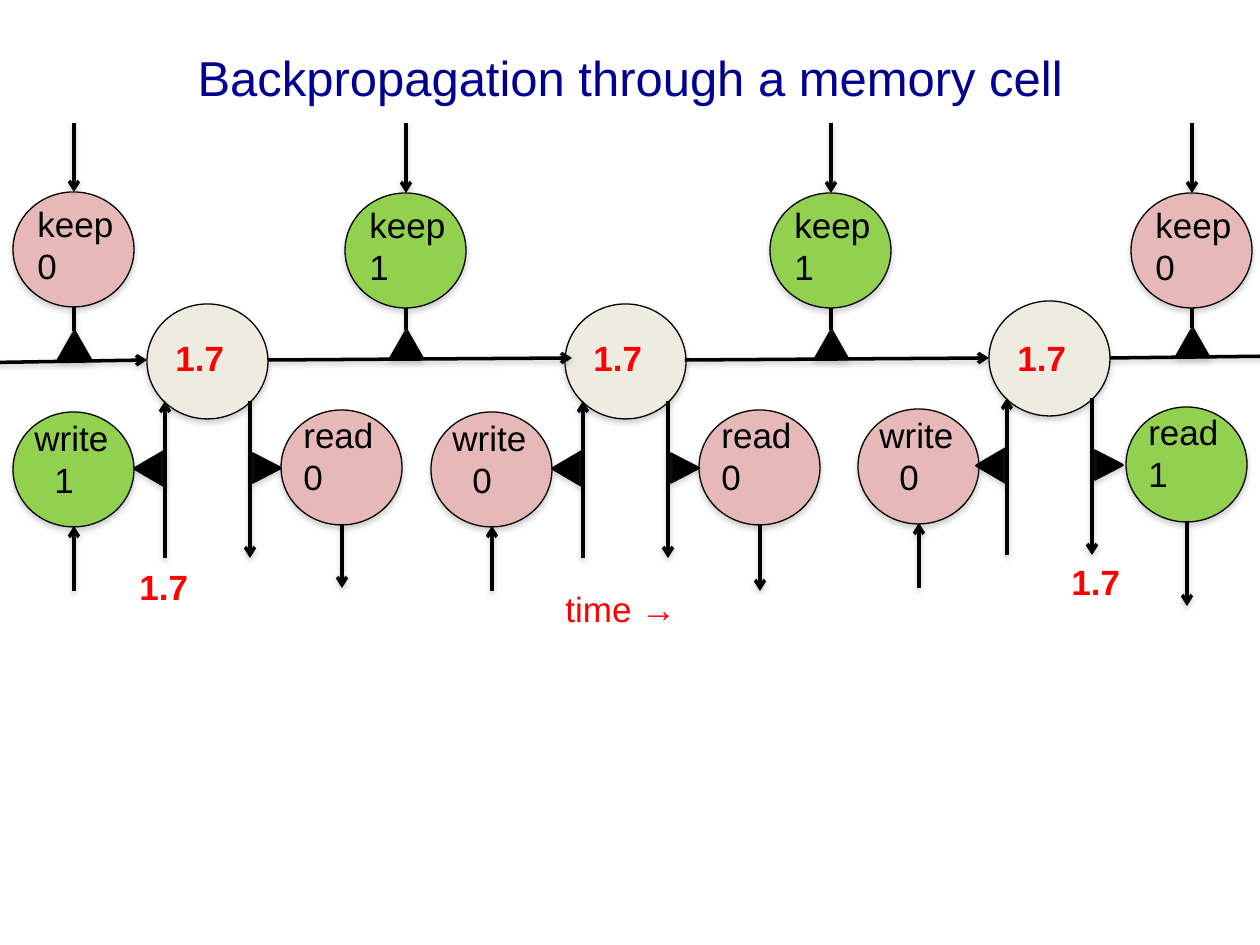
from lxml import etree
from pptx import Presentation
from pptx import util as u
from pptx.dml.color import RGBColor
from pptx.enum import shapes, text
from pptx.oxml.ns import qn

PX = u.Inches(1) / 126
COLORS = {"title": "000090", "black": "000000", "red": "FF0000", "shadow": "808080",
          "on": "92D050", "off": "E6B9B8", "cell": "EEECE1"}
OVAL, TRIANGLE = shapes.MSO_SHAPE.OVAL, shapes.MSO_SHAPE.ISOSCELES_TRIANGLE
NODE_W, NODE_H = 121, 115

deck = Presentation()
deck.slide_width, deck.slide_height = u.Inches(10), u.Inches(7.5)
page = deck.slides.add_slide(deck.slide_layouts[6])


def outline(shape, width, opacity):
    """Black line and a soft shadow below."""
    shape.line.color.rgb = RGBColor.from_string(COLORS["black"])
    shape.line.width = u.Pt(width)
    effects = etree.SubElement(shape._element.spPr, qn("a:effectLst"))
    shadow = etree.SubElement(effects, qn("a:outerShdw"), blurRad=str(u.Pt(3.1)),
                              dist=str(u.Pt(1.8)), dir="5400000", rotWithShape="0")
    color = etree.SubElement(shadow, qn("a:srgbClr"), val=COLORS["shadow"])
    etree.SubElement(color, qn("a:alpha"), val=str(opacity * 1000))


def write(lines, left, top, width, height, color="black", size=20, bold=False,
          margin=0, hanging=0):
    box = page.shapes.add_textbox(*(round(v * PX) for v in (left, top, width, height)))
    frame = box.text_frame
    frame.word_wrap = True
    frame.text = lines
    for para in frame.paragraphs:
        para.font.name, para.font.size, para.font.bold = "Arial", u.Pt(size), bold
        para.font.color.rgb = RGBColor.from_string(COLORS[color])
        if margin:
            properties = para._p.get_or_add_pPr()
            properties.set("marL", str(round(margin * PX)))
            properties.set("indent", str(round(-hanging * PX)))
    return box


# Title
title = write("Backpropagation through a memory cell", 63, -2, 1134, 157, "title", 28)
title.text_frame.vertical_anchor = text.MSO_ANCHOR.MIDDLE
title.text_frame.paragraphs[0].alignment = text.PP_ALIGN.CENTER

# left, top, write left, write gate, read left, read gate, end of read arrow
cells = [(147, 304, 13, 1, 281, 0, 588),
         (565, 304, 431, 0, 699, 0, 591),
         (989, 301, 858, 0, 1126, 1, 606)]
# left, top, keep gate, top of triangle
keeps = [(13, 192, 0, 331), (345, 193, 1, 330), (770, 193, 1, 330), (1131, 193, 0, 328)]

# Memory chain along the time axis
arrows = [(-38, 363, 147, 360), (268, 360, 572, 358),
          (685, 360, 989, 358), (1110, 358, 1283, 356)]
stems, nodes, triangles, labels = [], [], [], []

# Memory cells with their write and read gates
for x, y, write_x, write_gate, read_x, read_gate, read_end in cells:
    nodes += [(x, y, "cell"),
              (write_x, y + 108, "on" if write_gate else "off"),
              (read_x, y + 106, "on" if read_gate else "off")]
    arrows += [(x + 18, y + 254, x + 18, y + 97),
               (x + 103, y + 97, x + 103, y + 254),
               (write_x + 61, y + 287, write_x + 61, y + 222),
               (read_x + 61, y + 220, read_x + 61, read_end)]
    triangles += [(x + 105, y + 150, 29, 28, 90), (x - 15, y + 150, 34, 29, 270)]
    labels += [(f"read\n{read_gate}", read_x + 10, y + 103, 141, 97, {}),
               (f"write {write_gate}", write_x + 9, y + 106, 101, 97,
                {"margin": 20, "hanging": 20})]

# Keep gates
for x, y, gate, triangle_y in keeps:
    middle = x + 61
    nodes.append((x, y, "on" if gate else "off"))
    arrows.append((middle, 123, middle, y))
    stems.append((middle, y + NODE_H, middle, triangle_y))
    triangles.append((x + 45, triangle_y, 33, 29, 0))
    labels.append((f"keep {gate}", x + 12, y + 4, 110, 97, {}))

# Stored, written and read values
values = [(x + 7, 330, 97) for x, *_ in cells] + [(118, 559, 129), (1050, 554, 129)]
for x, y, width in values:
    labels.append(("1.7", x, y, width, 55, {"color": "red", "bold": True, "margin": 9}))
labels.append(("time →", 553, 581, 242, 55, {"color": "red"}))

# Circles and triangles
pieces = [(OVAL, x, y, NODE_W, NODE_H, 0, fill, 0.75) for x, y, fill in nodes]
pieces += [(TRIANGLE, *place, "black", 1.5) for place in triangles]
for kind, x, y, width, height, angle, fill, line_width in pieces:
    shape = page.shapes.add_shape(kind, *(round(v * PX) for v in (x, y, width, height)))
    shape.rotation = angle
    shape.fill.solid()
    shape.fill.fore_color.rgb = RGBColor.from_string(COLORS[fill])
    outline(shape, line_width, 35)

# Lines, with an open head on the arrows
for ends in arrows + stems:
    line = page.shapes.add_connector(shapes.MSO_CONNECTOR.STRAIGHT,
                                     *(round(v * PX) for v in ends))
    outline(line, 2, 38)
    if ends in arrows:
        etree.SubElement(line.line._get_or_add_ln(), qn("a:tailEnd"), type="arrow")

# Labels
for wording, x, y, width, height, look in labels:
    write(wording, x, y, width, height, **look)

deck.save("out.pptx")
